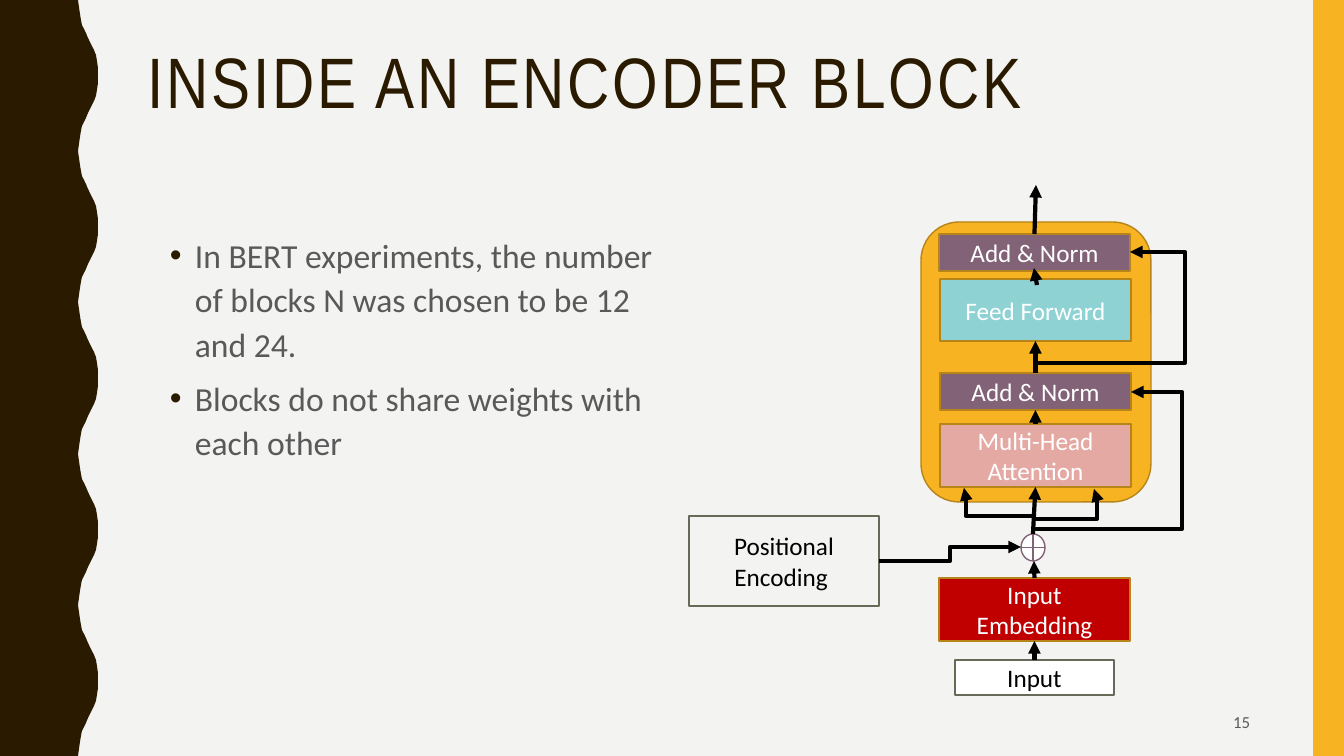
from lxml.etree import SubElement
from pptx import Presentation
from pptx.dml.color import RGBColor
from pptx.enum.shapes import MSO_CONNECTOR as Link, MSO_SHAPE as Shape
from pptx.enum.text import MSO_ANCHOR as Anchor, PP_ALIGN as Align
from pptx.oxml.ns import qn
from pptx.util import Pt

BROWN = RGBColor(0x2A, 0x1A, 0x00)
AMBER = RGBColor(0xF8, 0xB3, 0x23)
AMBER_EDGE = RGBColor(0xB7, 0x84, 0x1A)
PLUM = RGBColor(0x82, 0x62, 0x76)
TEAL = RGBColor(0x8F, 0xD2, 0xD4)
PINK = RGBColor(0xE5, 0xA9, 0xA4)
RED = RGBColor(0xC0, 0x00, 0x00)
OLIVE = RGBColor(0x65, 0x6A, 0x59)
GREY = RGBColor(0x59, 0x59, 0x59)
PAPER = RGBColor(0xF3, 0xF3, 0xF2)
WHITE = RGBColor(0xFF, 0xFF, 0xFF)
BLACK = RGBColor(0x00, 0x00, 0x00)

WIDTH, HEIGHT = 1344, 756
SCALE = 914400 / 100.8  # EMU per px

TITLE = "INSIDE AN ENCODER BLOCK"
BULLETS = [
    "In BERT experiments, the number of blocks N was chosen to be 12 and 24.",
    "Blocks do not share weights with each other",
]
PAGE_NUMBER = "15"

# name: (preset, (left, top, width, height), fill, edge, label, label colour)
PARTS = {
    "block": (Shape.ROUNDED_RECTANGLE, (921, 222, 230, 280), AMBER, AMBER_EDGE, "", WHITE),
    "top norm": (Shape.RECTANGLE, (939, 234, 191, 37), PLUM, AMBER_EDGE, "Add & Norm", WHITE),
    "low norm": (Shape.RECTANGLE, (940, 373, 191, 37), PLUM, AMBER_EDGE, "Add & Norm", WHITE),
    "feed": (Shape.RECTANGLE, (940, 279, 191, 62), TEAL, AMBER_EDGE, "Feed Forward", WHITE),
    "attention": (Shape.RECTANGLE, (940, 424, 191, 63), PINK, AMBER_EDGE,
                  "Multi-Head Attention", WHITE),
    "embedding": (Shape.RECTANGLE, (939, 578, 191, 63), RED, AMBER_EDGE,
                  "Input Embedding", WHITE),
    "position": (Shape.RECTANGLE, (689, 516, 190, 90), None, OLIVE,
                 "Positional Encoding ", BLACK),
    "input": (Shape.RECTANGLE, (955, 660, 159, 35), WHITE, OLIVE, "Input", BLACK),
    "sum": (Shape.FLOWCHART_OR, (1021, 534, 24, 27), WHITE, PLUM, "", BLACK),
}

# Each end is a point, or a (part name, side) pair to join
TOP, BOTTOM = 0, 2
STRAIGHT_ARROWS = [
    (("input", TOP), ("embedding", BOTTOM)),
    (("embedding", TOP), (1034, 561)),
    ((1033, 534), ("attention", BOTTOM)),
    (("attention", TOP), ("low norm", BOTTOM)),
    (("low norm", TOP), ("feed", BOTTOM)),
    ((1037, 285), (1034, 268)),
    (("top norm", TOP), (1036, 185)),
]

# start, x of the upright stretch, end
BENT_ARROWS = [
    ((879, 561), 950, (1021, 547)),
    ((1034, 519), 1097, (1094, 489)),
    ((1035, 516), 966, (964, 488)),
    ((1037, 363), 1185, (1130, 252)),
    ((1035, 529), 1182, (1131, 392)),
]

WAVES = 5
HALF_WAVE = [(78, 0), (79, 7), (80, 14), (81, 20), (82, 25), (84, 29), (86, 33), (88, 38),
             (90, 42), (92, 46), (94, 50), (96, 55), (97, 61), (98, 68), (98, 76)]


def px(length):
    return round(length * SCALE)


def add_span(para, text, size, colour, font="Calibri"):
    span = para.add_run()
    span.text = text
    span.font.size = Pt(size)
    span.font.name = font
    span.font.color.rgb = colour
    return span


def add_text_box(page, *bounds):
    frame = page.shapes.add_textbox(*map(px, bounds)).text_frame
    frame.word_wrap = True
    return frame


def paint(shape, fill, edge=None):
    shape.shadow.inherit = False
    if fill is None:
        shape.fill.background()
    else:
        shape.fill.solid()
        shape.fill.fore_color.rgb = fill
    if edge is None:
        shape.line.fill.background()
    else:
        shape.line.color.rgb = edge
        shape.line.width = Pt(1)


def add_part(page, preset, bounds, fill, edge, label, colour):
    box = page.shapes.add_shape(preset, *map(px, bounds))
    paint(box, fill, edge)
    if label:
        frame = box.text_frame
        frame.word_wrap = True
        frame.vertical_anchor = Anchor.MIDDLE
        para = frame.paragraphs[0]
        para.alignment = Align.CENTER
        add_span(para, label, 18, colour)
    return box


def add_arrow(page, kind, start, end):
    arrow = page.shapes.add_connector(kind, *map(px, start + end))
    arrow.line.color.rgb = BLACK
    arrow.line.width = Pt(3)
    properties = arrow._element.spPr
    SubElement(properties.find(qn("a:ln")), qn("a:tailEnd"), type="triangle")
    SubElement(properties, qn("a:effectLst"))
    return arrow


def add_straight_arrow(page, boxes, start, end):
    is_joined = [isinstance(tip[0], str) for tip in (start, end)]
    points = [(0, 0) if joined else tip for joined, tip in zip(is_joined, (start, end))]
    arrow = add_arrow(page, Link.STRAIGHT, *points)
    if is_joined[0]:
        arrow.begin_connect(boxes[start[0]], start[1])
    if is_joined[1]:
        arrow.end_connect(boxes[end[0]], end[1])


def add_bent_arrow(page, start, bend, end):
    arrow = add_arrow(page, Link.ELBOW, start, end)
    geometry = arrow._element.spPr.find(qn("a:prstGeom"))
    guides = geometry.find(qn("a:avLst"))
    if guides is None:
        guides = SubElement(geometry, qn("a:avLst"))
    share = round(100000 * (bend - start[0]) / (end[0] - start[0]))
    SubElement(guides, qn("a:gd"), name="adj1", fmla=f"val {share}")


def add_frame(page):
    """Wavy band on the left and plain band on the right."""
    period = HEIGHT / WAVES
    wave = HALF_WAVE + [(x, period - y) for x, y in reversed(HALF_WAVE[:-1])]
    edge = [(x, y + period * turn) for turn in range(WAVES) for x, y in wave]
    outline = page.shapes.build_freeform(0, 0, scale=SCALE)
    outline.add_line_segments(edge + [(0, HEIGHT)], close=True)
    paint(outline.convert_to_shape(), BROWN)
    band = page.shapes.add_shape(Shape.RECTANGLE, *map(px, (1313, 0, 31, HEIGHT)))
    paint(band, AMBER)


def add_words(page):
    para = add_text_box(page, 138, 42, 1122, 164).paragraphs[0]
    para.line_spacing = 0.9
    span = add_span(para, TITLE, 51, BROWN, "Arial Narrow")
    span.font._element.set("spc", "200")

    frame = add_text_box(page, 160, 226, 534, 452)
    for index, text in enumerate(BULLETS):
        para = frame.add_paragraph() if index else frame.paragraphs[0]
        para.line_spacing = 1.1
        para.space_before = Pt(7)
        add_span(para, text, 24, GREY)
        layout = para._element.get_or_add_pPr()
        layout.set("marL", str(px(25)))
        layout.set("indent", str(-px(25)))
        colour = SubElement(layout, qn("a:buClr"))
        SubElement(colour, qn("a:srgbClr"), val=str(BROWN))
        SubElement(layout, qn("a:buFont"), typeface="Arial")
        SubElement(layout, qn("a:buChar"), char="•")

    frame = add_text_box(page, 950, 703, 310, 38)
    frame.vertical_anchor = Anchor.MIDDLE
    para = frame.paragraphs[0]
    para.alignment = Align.RIGHT
    add_span(para, PAGE_NUMBER, 12, GREY)


def main():
    deck = Presentation()
    deck.slide_width, deck.slide_height = px(WIDTH), px(HEIGHT)
    page = deck.slides.add_slide(deck.slide_layouts[6])
    page.background.fill.solid()
    page.background.fill.fore_color.rgb = PAPER
    add_frame(page)
    add_words(page)
    boxes = {name: add_part(page, *part) for name, part in PARTS.items()}
    for start, end in STRAIGHT_ARROWS:
        add_straight_arrow(page, boxes, start, end)
    for start, bend, end in BENT_ARROWS:
        add_bent_arrow(page, start, bend, end)
    deck.save("out.pptx")


if __name__ == "__main__":
    main()
